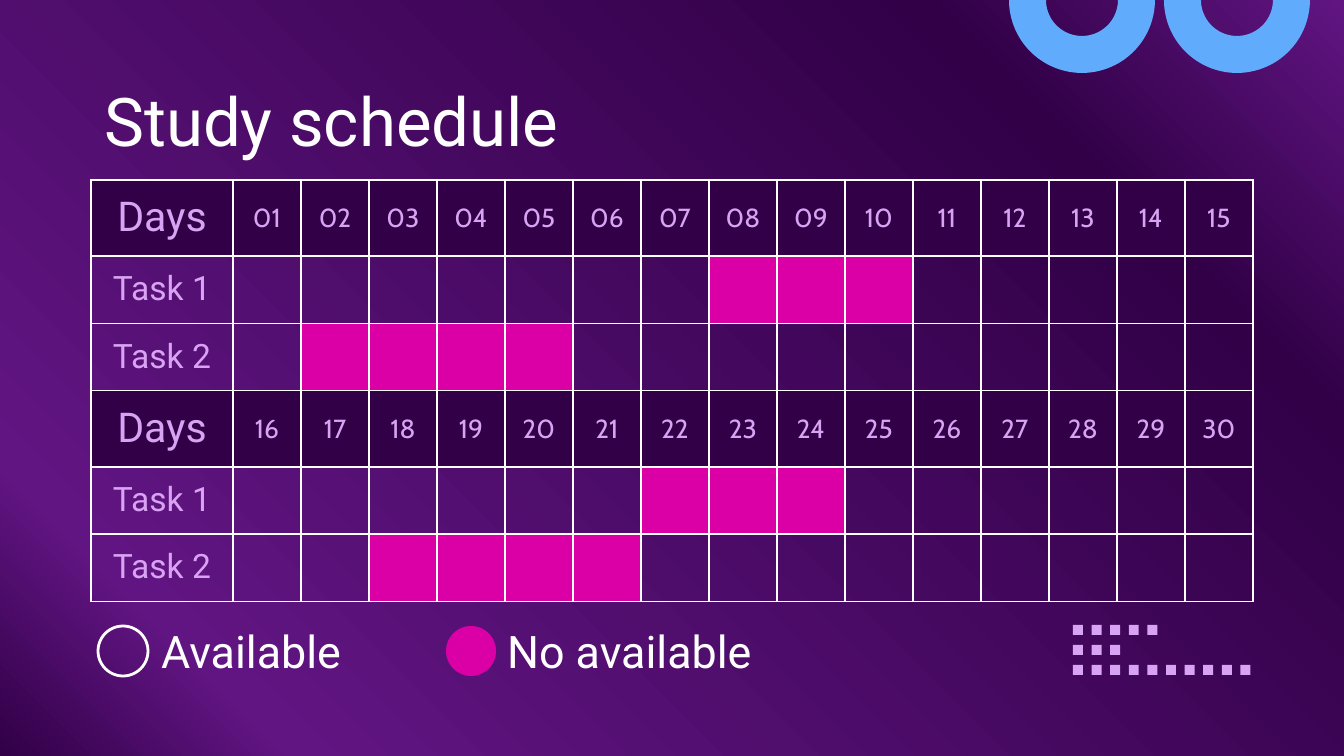
"""Build the study schedule slide with its two half-month task tables."""
import copy
import math

import pptx
import pptx.dml.color
import pptx.enum.shapes
import pptx.enum.text
import pptx.oxml.ns
import pptx.util

SCALE = 914400 / 134.4
DARK, VIOLET, LILAC, PINK, BLUE, WHITE = "310047", "611582", "D9A3F3", "DB00A6", "61ABFC", "FFFFFF"
SHAPE = pptx.enum.shapes.MSO_SHAPE
TOP, MIDDLE = pptx.enum.text.MSO_ANCHOR.TOP, pptx.enum.text.MSO_ANCHOR.MIDDLE
LEFT, CENTER = pptx.enum.text.PP_ALIGN.LEFT, pptx.enum.text.PP_ALIGN.CENTER
rgb = pptx.dml.color.RGBColor.from_string


def px(*values):
    return [pptx.util.Emu(round(v * SCALE)) for v in values]


def write(box, tf, text, size, font, color, align, anchor):
    box.vertical_anchor = anchor
    box.margin_left, box.margin_top, box.margin_right, box.margin_bottom = [pptx.util.Inches(0.1)] * 4
    tf.word_wrap = True
    p = tf.paragraphs[0]
    p.text = text
    p.alignment = align
    p.font.size = pptx.util.Pt(size)
    p.font.name = font
    p.font.color.rgb = rgb(color)


prs = pptx.Presentation()
prs.slide_width, prs.slide_height = px(1344, 756)
s = prs.slides.add_slide(prs.slide_layouts[6])

fill = s.background.fill
fill.gradient()
fill.gradient_angle = 45
stops = s.element.find(".//" + pptx.oxml.ns.qn("a:gsLst"))
for _ in range(2):
    stops.append(copy.deepcopy(stops[0]))
for stop, (position, color) in zip(fill.gradient_stops, [(0, DARK), (0.14, VIOLET), (0.8, DARK), (1, VIOLET)]):
    stop.position = position
    stop.color.rgb = rgb(color)

angles = [math.radians(a) for a in range(0, 181, 3)]
for center in (1237, 1082):
    points = [(center + 73 * math.cos(a), 73 * math.sin(a)) for a in angles]
    points += [(center + 36 * math.cos(a), 36 * math.sin(a)) for a in reversed(angles)]
    points = [px(*point) for point in points]
    builder = s.shapes.build_freeform(*points[0])
    builder.add_line_segments(points[1:])
    sp = builder.convert_to_shape()
    sp.shadow.inherit = False
    sp.fill.solid()
    sp.fill.fore_color.rgb = rgb(BLUE)
    sp.line.fill.background()

for text, box, size, anchor in [
    ("Study schedule", (91, 66, 1161, 85), 36, TOP),
    ("Available", (148, 629, 257, 43), 24, MIDDLE),
    ("No available", (494, 629, 378, 43), 24, MIDDLE),
]:
    tf = s.shapes.add_textbox(*px(*box)).text_frame
    write(tf, tf, text, size, "Roboto", WHITE, LEFT, anchor)

table = s.shapes.add_table(6, 16, *px(91, 180, 1162, 420)).table
table.first_row = table.horz_banding = False
for i, column in enumerate(table.columns):
    column.width = px(68 if i else 142)[0]
for i, row in enumerate(table.rows):
    row.height = px(67 if i % 3 else 76)[0]

busy = {1: range(8, 11), 2: range(2, 6), 4: range(7, 10), 5: range(3, 7)}
for r in range(6):
    half, task = divmod(r, 3)
    for c in range(16):
        cell = table.cell(r, c)
        color = DARK if task == 0 else PINK if c in busy[r] else None
        if color:
            cell.fill.solid()
            cell.fill.fore_color.rgb = rgb(color)
        else:
            cell.fill.background()
        if c == 0:
            text, size = (f"Task {task}", 18) if task else ("Days", 22)
            write(cell, cell.text_frame, text, size, "Roboto", LILAC, CENTER, TOP)
        elif task == 0:
            write(cell, cell.text_frame, f"{half * 15 + c:02d}", 14, "Cabin", LILAC, CENTER, MIDDLE)

for left, color, line in [(446, PINK, None), (98, None, WHITE)]:
    sp = s.shapes.add_shape(SHAPE.OVAL, *px(left, 626, 50, 50))
    sp.shadow.inherit = False
    if color:
        sp.fill.solid()
        sp.fill.fore_color.rgb = rgb(color)
        sp.line.fill.background()
    else:
        sp.fill.background()
        sp.line.color.rgb = rgb(line)
        sp.line.width = pptx.util.Pt(1.5)

group = s.shapes.add_group_shape()
for row, count in enumerate((5, 3, 10)):
    for i in range(count):
        sp = group.shapes.add_shape(SHAPE.RECTANGLE, *px(1073 + 18.6 * i, 625 + 20 * row, 10, 10))
        sp.shadow.inherit = False
        sp.fill.solid()
        sp.fill.fore_color.rgb = rgb(LILAC)
        sp.line.fill.background()

prs.save("out.pptx")
